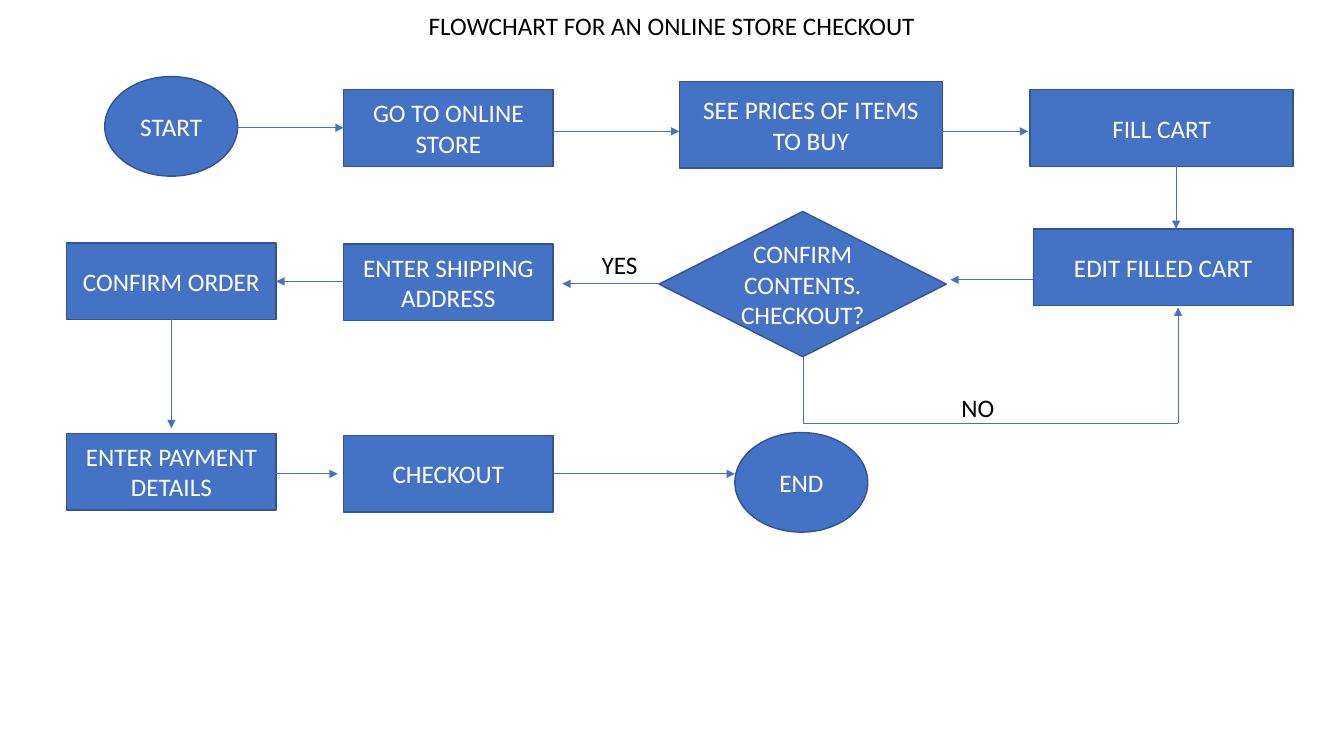
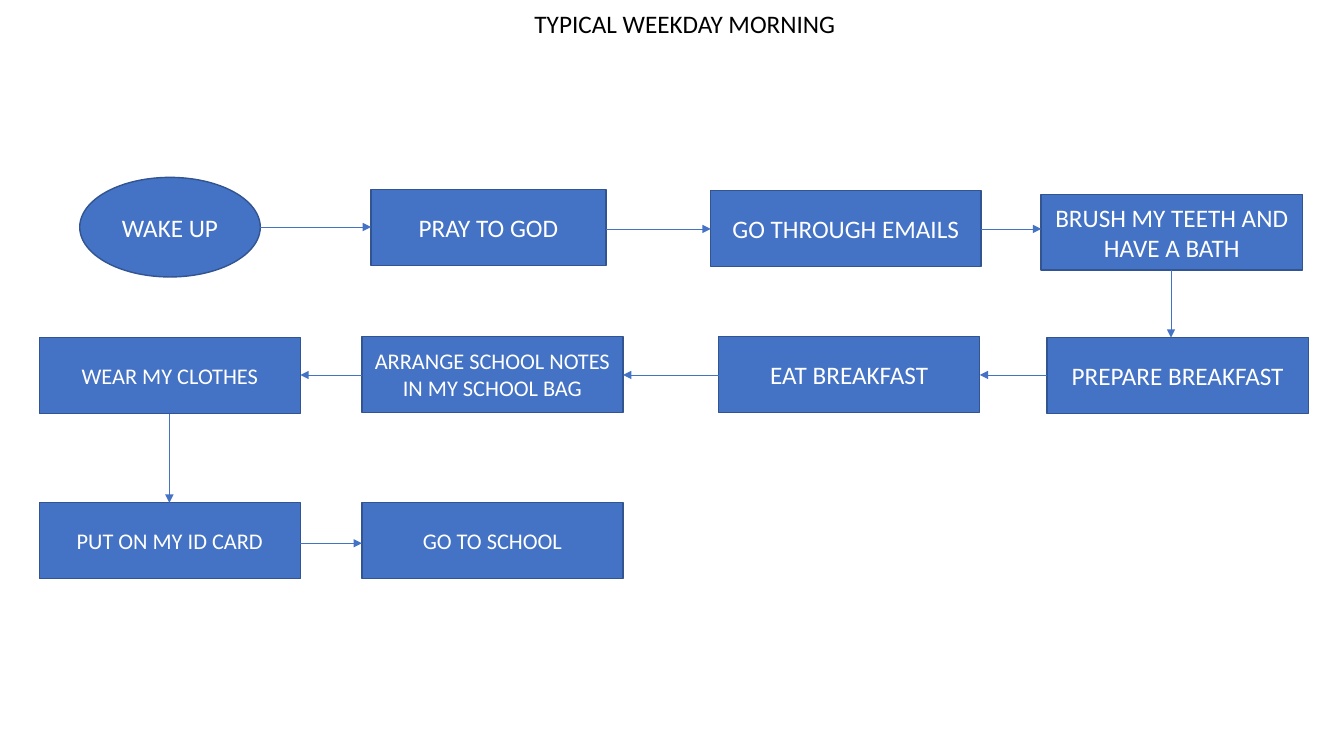
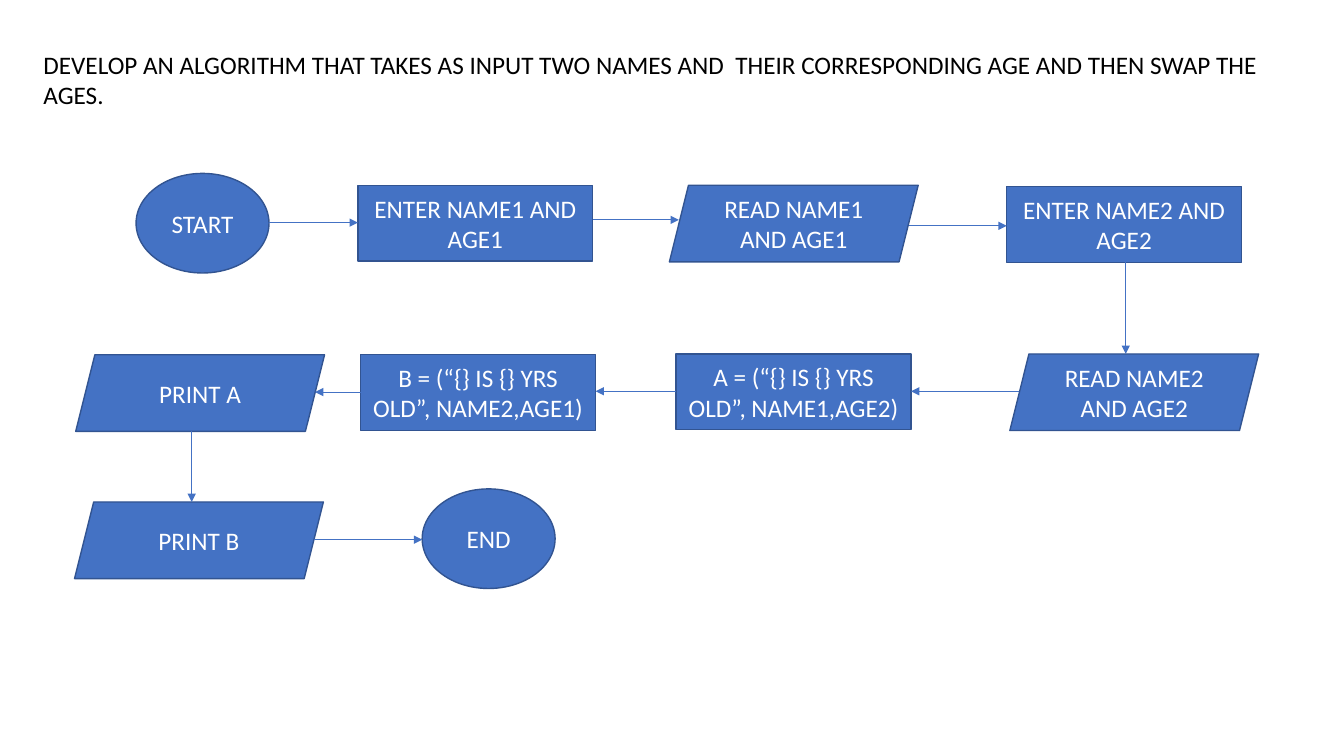
from dataclasses import dataclass
from typing import Any, NamedTuple

from lxml import etree
from pptx import Presentation
from pptx.dml.color import RGBColor
from pptx.enum import shapes, text
from pptx.oxml import ns
from pptx.util import Cm, Pt

BLUE, EDGE, WHITE, BLACK = "4472C4", "325491", "FFFFFF", "000000"
FONT = "Calibri"
SLANT_INSET = 0.24

RECT = shapes.MSO_SHAPE.RECTANGLE
OVAL = shapes.MSO_SHAPE.OVAL
DIAMOND = shapes.MSO_SHAPE.DIAMOND
SLANTED = shapes.MSO_SHAPE.PARALLELOGRAM
LEFT, CENTER = text.PP_ALIGN.LEFT, text.PP_ALIGN.CENTER
TOP, MIDDLE = text.MSO_ANCHOR.TOP, text.MSO_ANCHOR.MIDDLE


class Point(NamedTuple):
    x: float
    y: float


class Kind(NamedTuple):
    preset: Any
    w: float
    h: float


class Label(NamedTuple):
    text: str
    x: float
    y: float
    w: float = 4.57
    h: float = 1.02
    align: Any = CENTER


@dataclass
class Step:
    text: str
    kind: Kind
    x: float
    y: float
    arrow_at: float = 0
    gap: float = 0
    size: int = 18

    @property
    def left(self) -> float:
        return self.x + (SLANT_INSET if self.kind.preset == SLANTED else 0)

    @property
    def right(self) -> float:
        return self.x + self.kind.w - (self.left - self.x)

    @property
    def bottom(self) -> float:
        return self.y + self.kind.h


@dataclass
class Flow:
    title: Label
    steps: list[Step]
    labels: tuple[Label, ...] = ()
    loop: tuple[Point, ...] = ()


def rgb(value: str) -> RGBColor:
    return RGBColor.from_string(value)


def apply(obj: Any, values: dict[str, Any]) -> None:
    for name, value in values.items():
        setattr(obj, name, value)


def write(sp: Any, content: str, color: str, align: Any, anchor: Any, size: int = 18) -> None:
    tf = sp.text_frame
    apply(tf, {"word_wrap": True, "auto_size": text.MSO_AUTO_SIZE.NONE, "vertical_anchor": anchor})
    p = tf.paragraphs[0]
    apply(p, {"alignment": align, "line_spacing": 1.0, "space_before": Pt(0)})
    r = p.add_run()
    r.text = content
    apply(r.font, {"name": FONT, "size": Pt(size)})
    r.font.color.rgb = rgb(color)


def draw_title(s: Any, title: Label) -> None:
    sp = s.shapes.title
    apply(sp, {"left": Cm(title.x), "top": Cm(title.y), "width": Cm(title.w), "height": Cm(title.h)})
    write(sp, title.text, BLACK, title.align, TOP)


def draw_label(s: Any, label: Label) -> None:
    sp = s.shapes.add_textbox(Cm(label.x), Cm(label.y), Cm(label.w), Cm(label.h))
    write(sp, label.text, BLACK, label.align, TOP)


def draw_step(s: Any, step: Step) -> None:
    kind = step.kind
    sp = s.shapes.add_shape(kind.preset, Cm(step.x), Cm(step.y), Cm(kind.w), Cm(kind.h))
    sp.shadow.inherit = False
    sp.fill.solid()
    sp.fill.fore_color.rgb = rgb(BLUE)
    sp.line.color.rgb = rgb(EDGE)
    sp.line.width = Pt(1)
    write(sp, step.text, WHITE, CENTER, MIDDLE, step.size)


def draw_line(s: Any, start: Point, end: Point, arrow: bool = True) -> None:
    ends = [Cm(v) for v in (*start, *end)]
    cx = s.shapes.add_connector(shapes.MSO_CONNECTOR.STRAIGHT, *ends)
    cx.line.color.rgb = rgb(BLUE)
    cx.line.width = Pt(0.5)
    if arrow:
        etree.SubElement(cx.line._get_or_add_ln(), ns.qn("a:tailEnd"), type="triangle")
    etree.SubElement(cx._element.spPr, ns.qn("a:effectLst"))


def draw_link(s: Any, src: Step, dst: Step) -> None:
    at, gap = dst.arrow_at, dst.gap
    if dst.y > src.bottom:
        draw_line(s, Point(at, src.bottom), Point(at, dst.y - gap))
    elif dst.x > src.x:
        draw_line(s, Point(src.right, at), Point(dst.left - gap, at))
    else:
        draw_line(s, Point(src.left, at), Point(dst.right + gap, at))


def draw_flow(prs: Any, flow: Flow) -> None:
    s = prs.slides.add_slide(prs.slide_layouts[5])
    draw_title(s, flow.title)
    for step in flow.steps:
        draw_step(s, step)
    for src, dst in zip(flow.steps, flow.steps[1:]):
        draw_link(s, src, dst)
    for start, end in zip(flow.loop, flow.loop[1:]):
        draw_line(s, start, end, arrow=end == flow.loop[-1])
    for label in flow.labels:
        draw_label(s, label)


TERMINAL = Kind(OVAL, 3.35, 2.51)
WAKE = Kind(OVAL, 4.55, 2.51)
SHORT = Kind(RECT, 5.28, 1.93)
PRICES = Kind(RECT, 6.63, 2.18)
FILL = Kind(RECT, 6.63, 1.93)
EDIT = Kind(RECT, 6.55, 1.93)
DECISION = Kind(DIAMOND, 7.24, 3.66)
MEDIUM = Kind(RECT, 5.92, 1.91)
LONG = Kind(RECT, 6.58, 1.91)
EMAILS = Kind(RECT, 6.81, 1.91)
DATA = Kind(SLANTED, 6.27, 1.93)

FLOWS = [
    Flow(
        Label("FLOWCHART FOR AN ONLINE STORE CHECKOUT", 6.12, 0.13, 21.62),
        [
            Step("START", TERMINAL, 2.64, 1.93),
            Step("GO TO ONLINE STORE", SHORT, 8.66, 2.26, 3.22),
            Step("SEE PRICES OF ITEMS TO BUY", PRICES, 17.12, 2.06, 3.31),
            Step("FILL CART", FILL, 25.96, 2.26, 3.31, 0.05),
            Step("EDIT FILLED CART", EDIT, 26.04, 5.77, 29.64),
            Step("CONFIRM CONTENTS. CHECKOUT?", DECISION, 16.61, 5.33, 7.05, 0.1),
            Step("ENTER SHIPPING ADDRESS", SHORT, 8.66, 6.15, 7.15, 0.23),
            Step("CONFIRM ORDER", SHORT, 1.68, 6.12, 7.09),
            Step("ENTER PAYMENT DETAILS", SHORT, 1.68, 10.92, 4.32, 0.13),
            Step("CHECKOUT", SHORT, 8.66, 10.97, 11.94, 0.15),
            Step("END", TERMINAL, 18.52, 10.9, 11.94),
        ],
        (
            Label("YES", 14.91, 6.17, align=LEFT),
            Label("NO", 23.98, 9.75, align=LEFT),
        ),
        (Point(20.24, 8.99), Point(20.24, 10.67), Point(29.69, 10.67), Point(29.69, 7.75)),
    ),
    Flow(
        Label("TYPICAL WEEKDAY MORNING", 8.79, 0.08, 16.94),
        [
            Step("WAKE UP", WAKE, 2.01, 4.47),
            Step("PRAY TO GOD", MEDIUM, 9.35, 4.78, 5.72),
            Step("GO THROUGH EMAILS", EMAILS, 17.91, 4.8, 5.77),
            Step("BRUSH MY TEETH AND HAVE A BATH", LONG, 26.24, 4.9, 5.77),
            Step("PREPARE BREAKFAST", LONG, 26.39, 8.51, 29.51),
            Step("EAT BREAKFAST", LONG, 18.11, 8.48, 9.45),
            Step("ARRANGE SCHOOL NOTES IN MY SCHOOL BAG", LONG, 9.12, 8.48, 9.45, size=16),
            Step("WEAR MY CLOTHES", LONG, 0.99, 8.51, 9.45, size=16),
            Step("PUT ON MY ID CARD", LONG, 0.99, 12.67, 4.27, size=16),
            Step("GO TO SCHOOL", LONG, 9.12, 12.67, 13.69, size=16),
        ],
    ),
    Flow(
        Label(
            "DEVELOP AN ALGORITHM THAT TAKES AS INPUT TWO NAMES AND  THEIR "
            "CORRESPONDING AGE AND THEN SWAP THE AGES.",
            0.84, 1.12, 32.56, 1.8, LEFT,
        ),
        [
            Step("START", TERMINAL, 3.43, 4.37),
            Step("ENTER NAME1 AND AGE1", MEDIUM, 9.02, 4.67, 5.61),
            Step("READ NAME1 AND AGE1", DATA, 16.87, 4.67, 5.54),
            Step("ENTER NAME2 AND AGE2", MEDIUM, 25.37, 4.7, 5.69),
            Step("READ NAME2 AND AGE2", DATA, 25.45, 8.92, 28.37),
            Step("A = (“{} IS {} YRS OLD”, NAME1,AGE2)", MEDIUM, 17.04, 8.92, 9.86),
            Step("B = (“{} IS {} YRS OLD”, NAME2,AGE1)", MEDIUM, 9.09, 8.94, 9.86),
            Step("PRINT A", DATA, 1.91, 8.94, 9.88),
            Step("PRINT B", DATA, 1.88, 12.65, 4.83),
            Step("END", TERMINAL, 10.64, 12.32, 13.6),
        ],
    ),
]


def main() -> None:
    prs = Presentation()
    apply(prs, {"slide_width": Cm(33.87), "slide_height": Cm(19.05)})
    for flow in FLOWS:
        draw_flow(prs, flow)
    prs.save("out.pptx")


main()
